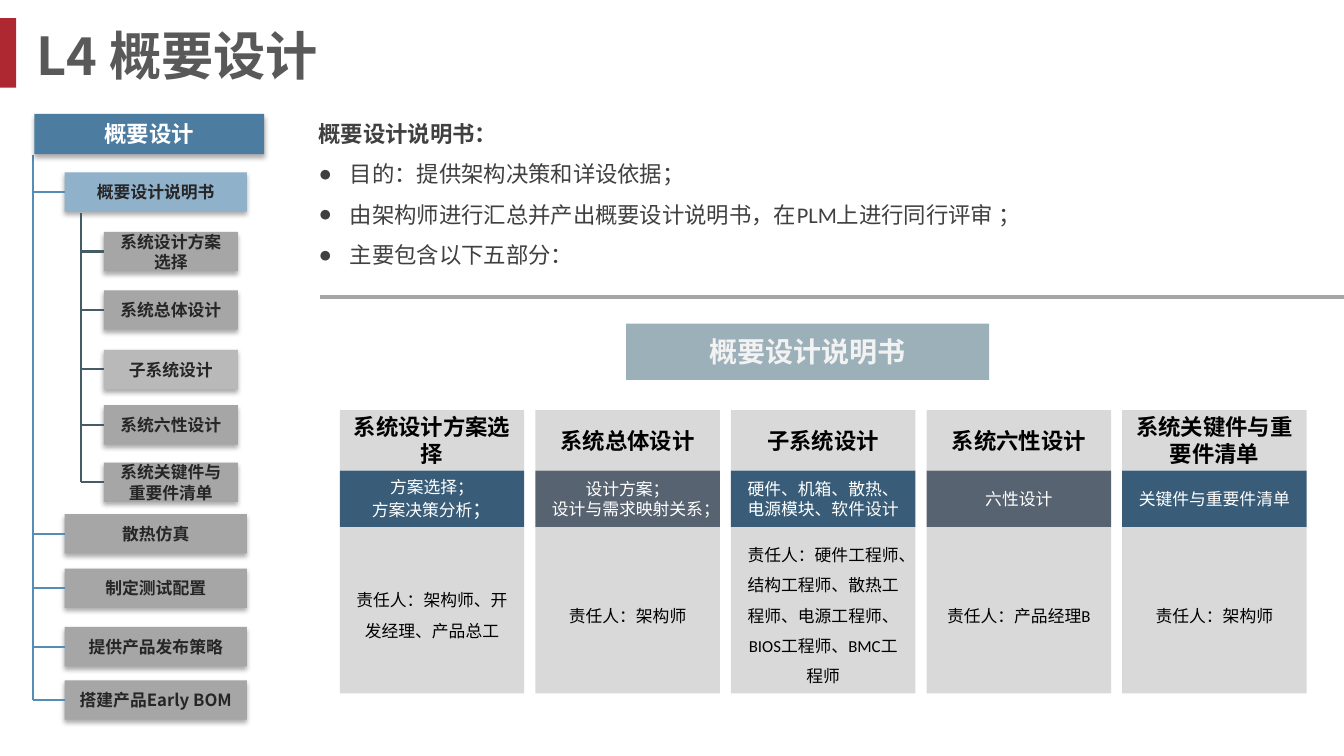
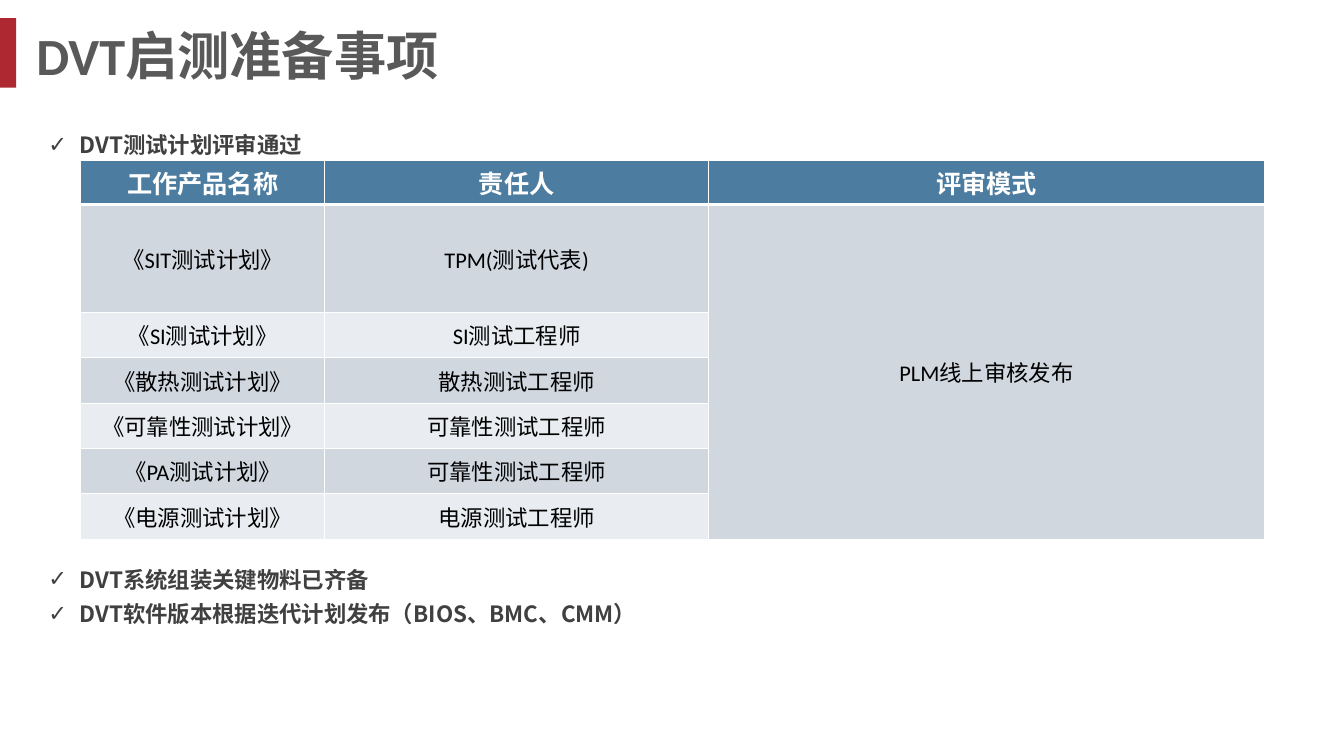
from dataclasses import dataclass

from lxml import etree
from pptx import Presentation
from pptx import util as u
from pptx.dml.color import RGBColor
from pptx.enum import shapes, text
from pptx.oxml import ns

# Shared look
EMU_PER_PX = 9144
LATIN, CJK = "Calibri", "Noto Sans CJK SC"
WHITE, BLACK, DARK, INK = "FFFFFF", "000000", "404040", "262626"
RED, TITLE_GREY, GREY, PALE = "AD2830", "595959", "A6A6A6", "D9D9D9"
BLUE, LIGHT_BLUE, NAVY, SLATE = "4C7CA0", "90B1CA", "395D78", "586371"
TRUNK_BLUE, TRUNK_SLATE = "548DB5", "465C65"
BAND_DARK, BAND_LIGHT = "D0D7DF", "E9ECF0"


@dataclass
class Box:
    left: int
    top: int
    width: int
    height: int


@dataclass
class Style:
    size: float
    color: str
    bold: bool = False
    font: str = LATIN
    spacing: float = 1.0
    align: text.PP_ALIGN = text.PP_ALIGN.CENTER


@dataclass
class Node:
    label: str
    top: int
    fill: str = GREY


@dataclass
class Module:
    heading: str
    content: str
    owners: str
    ending: str = ""  # larger closing mark


@dataclass
class Item:
    label: str
    bullet: str = ""
    bold: bool = True


TITLE = Style(37.3, TITLE_GREY, True, CJK, align=text.PP_ALIGN.LEFT)
NODE = Style(12, INK, True, CJK)
HEADING = Style(16, BLACK, True)

CHAPTERS = [
    Node("概要设计说明书", 171, LIGHT_BLUE),
    Node("散热仿真", 510),
    Node("制定测试配置", 564),
    Node("提供产品发布策略", 622),
    Node("搭建产品Early BOM", 675),
]
SECTIONS = [
    Node("系统设计方案选择", 230),
    Node("系统总体设计", 288),
    Node("子系统设计", 347, "B9B9B9"),
    Node("系统六性设计", 402),
    Node("系统关键件与重要件清单", 459),
]
MODULES = [
    Module("系统设计方案选择", "方案选择；\n方案决策分析", "责任人：架构师、开发经理、产品总工", "；"),
    Module("系统总体设计", "设计方案；\n设计与需求映射关系；", "责任人：架构师"),
    Module("子系统设计", "硬件、机箱、散热、电源模块、软件设计",
           "责任人：硬件工程师、结构工程师、散热工程师、电源工程师、BIOS工程师、BMC工程师"),
    Module("系统六性设计", "六性设计", "责任人：产品经理B"),
    Module("系统关键件与重要件清单", "关键件与重要件清单", "责任人：架构师"),
]
PLAN_ROWS = [
    ("工作产品名称", "责任人", "评审模式"),
    ("《SIT测试计划》", "TPM(测试代表)", "PLM线上审核发布"),
    ("《SI测试计划》", "SI测试工程师"),
    ("《散热测试计划》", "散热测试工程师"),
    ("《可靠性测试计划》", "可靠性测试工程师"),
    ("《PA测试计划》", "可靠性测试工程师"),
    ("《电源测试计划》", "电源测试工程师"),
]


# Helpers
def px(value: float) -> u.Emu:
    return u.Emu(round(value * EMU_PER_PX))


def rgb(value: str) -> RGBColor:
    return RGBColor.from_string(value)


def add_xml(parent, tag: str, **attributes):
    element = etree.SubElement(parent, ns.qn(tag))
    for name, value in attributes.items():
        element.set(name, str(value))
    return element


def format_paragraph(paragraph, style: Style) -> None:
    paragraph.alignment = style.align
    paragraph.line_spacing = style.spacing
    paragraph.space_before = u.Pt(0)
    font = paragraph.font
    font.size, font.bold, font.name = u.Pt(style.size), style.bold, style.font
    font.color.rgb = rgb(style.color)
    add_xml(paragraph._p.pPr.find(ns.qn("a:defRPr")), "a:ea", typeface=CJK)


def place(shape, box: Box) -> None:
    shape.left, shape.top = px(box.left), px(box.top)
    shape.width, shape.height = px(box.width), px(box.height)


def add_box(slide, box: Box, fill: str, label: str = "",
            style: Style = NODE, shadow: bool = False):
    shape = slide.shapes.add_shape(
        shapes.MSO_SHAPE.RECTANGLE,
        px(box.left), px(box.top), px(box.width), px(box.height))
    shape.fill.solid()
    shape.fill.fore_color.rgb = rgb(fill)
    shape.line.fill.background()
    shape.shadow.inherit = False
    if shadow:
        effects = shape._element.spPr.find(ns.qn("a:effectLst"))
        outer = add_xml(effects, "a:outerShdw", blurRad=u.Pt(3.5), dist=u.Pt(2.2),
                        dir=90 * 60000, algn="t", rotWithShape=0)
        add_xml(add_xml(outer, "a:srgbClr", val=BLACK), "a:alpha", val=32000)
    if label:
        frame = shape.text_frame
        frame.text, frame.word_wrap = label, True
        frame.vertical_anchor = text.MSO_ANCHOR.MIDDLE
        for paragraph in frame.paragraphs:
            format_paragraph(paragraph, style)
    return shape


def add_line(slide, start: tuple[int, float], end: tuple[int, float],
             color: str, width: float = 1.5):
    line = slide.shapes.add_connector(
        shapes.MSO_CONNECTOR.STRAIGHT, *map(px, start + end))
    line.line.color.rgb = rgb(color)
    line.line.width = u.Pt(width)
    add_xml(line._element.spPr, "a:effectLst")
    return line


def set_title(slide, label: str, font: str) -> None:
    title = slide.shapes.title
    place(title, Box(26, 18, 1081, 73))
    frame = title.text_frame
    frame.text, frame.auto_size = label, text.MSO_AUTO_SIZE.NONE
    frame.vertical_anchor = text.MSO_ANCHOR.MIDDLE
    format_paragraph(frame.paragraphs[0], TITLE)
    frame.paragraphs[0].font.name = font


def fill_list(body, box: Box, items: list[Item], font: str,
              spacing: float, gap: float = 0) -> None:
    place(body, box)
    frame = body.text_frame
    frame.text = "\n".join(item.label for item in items)
    frame.auto_size = text.MSO_AUTO_SIZE.NONE
    for index, (paragraph, item) in enumerate(zip(frame.paragraphs, items)):
        properties = paragraph._p.get_or_add_pPr()
        indent = px(31) if item.bullet else 0
        properties.set("marL", str(indent))
        properties.set("indent", str(-indent))
        if item.bullet:
            add_xml(properties, "a:buChar", char=item.bullet)
        else:
            add_xml(properties, "a:buNone")
        format_paragraph(paragraph, Style(16, DARK, item.bold, font, spacing,
                                          text.PP_ALIGN.LEFT))
        if index:
            paragraph.space_before = u.Pt(gap)


def add_branch(slide, nodes: list[Node], left: int, width: int,
               trunk_x: int, trunk_top: int, color: str) -> None:
    height = 39
    add_line(slide, (trunk_x, trunk_top),
             (trunk_x, nodes[-1].top + height / 2), color)
    for node in nodes:
        shape = add_box(slide, Box(left, node.top, width, height), node.fill,
                        node.label, NODE, shadow=True)
        middle = node.top + height / 2
        twig = add_line(slide, (left, middle), (trunk_x, middle), color)
        twig.begin_connect(shape, 1)


def add_module(slide, module: Module, left: int, band: str) -> None:
    add_box(slide, Box(left, 407, 183, 60), PALE, module.heading, HEADING)
    content = add_box(slide, Box(left, 467, 183, 56), band, module.content,
                      Style(12, WHITE))
    if module.ending:
        run = content.text_frame.paragraphs[-1].add_run()
        run.text, run.font.size = module.ending, u.Pt(14)
    add_box(slide, Box(left, 523, 183, 165), PALE, module.owners,
            Style(12, BLACK, spacing=1.5))


def format_cell(cell, fill: str, style: Style, top: float, bottom: float) -> None:
    cell.margin_left = cell.margin_right = cell.margin_top = cell.margin_bottom = 0
    cell.vertical_anchor = text.MSO_ANCHOR.MIDDLE
    properties = cell._tc.get_or_add_tcPr()
    for side, width in (("L", 1), ("R", 1), ("T", top), ("B", bottom)):
        border = add_xml(properties, f"a:ln{side}", w=u.Pt(width))
        add_xml(add_xml(border, "a:solidFill"), "a:srgbClr", val=WHITE)
    cell.fill.solid()
    cell.fill.fore_color.rgb = rgb(fill)
    format_paragraph(cell.text_frame.paragraphs[0], style)


def add_plan_table(slide) -> None:
    widths, heights = [242, 381, 551], [44, 107] + [45] * 5
    table = slide.shapes.add_table(
        len(heights), len(widths), px(80), px(159),
        px(sum(widths)), px(sum(heights))).table
    for column, width in zip(table.columns, widths):
        column.width = px(width)
    for row, height in zip(table.rows, heights):
        row.height = px(height)
    for row_index, labels in enumerate(PLAN_ROWS):
        header = row_index == 0
        fill = BLUE if header else (BAND_DARK if row_index % 2 else BAND_LIGHT)
        style = Style(18, WHITE, True) if header else Style(16, BLACK)
        for column_index in range(len(widths)):
            cell = table.cell(row_index, column_index)
            if column_index < len(labels):
                cell.text = labels[column_index]
            format_cell(cell, fill, style, 3 if row_index == 1 else 1,
                        3 if header else 1)
    table.cell(1, 2).merge(table.cell(len(heights) - 1, 2))


# Slides
def build_design_slide(presentation) -> None:
    slide = presentation.slides.add_slide(presentation.slide_layouts[1])
    # Red bar, kept on the master for every slide
    bar = add_box(slide, Box(0, 18, 16, 69), RED)
    presentation.slide_master.shapes._spTree.insert(2, bar._element)

    set_title(slide, "L4 概要设计", CJK)
    fill_list(slide.placeholders[1], Box(306, 101, 978, 167), [
        Item("概要设计说明书："),
        Item("目的：提供架构决策和详设依据；", "●", False),
        Item("由架构师进行汇总并产出概要设计说明书，在PLM上进行同行评审 ；", "●", False),
        Item("主要包含以下五部分：", "●", False),
    ], LATIN, 1.5)

    # Outline tree
    add_branch(slide, CHAPTERS, 64, 181, 33, 154, TRUNK_BLUE)
    add_branch(slide, SECTIONS, 103, 133, 80, 211, TRUNK_SLATE)
    add_box(slide, Box(34, 113, 228, 40), BLUE, "概要设计",
            Style(16, WHITE, True, CJK), shadow=True)

    # Five parts of the document
    add_line(slide, (317, 295), (1333, 295), GREY, 3)
    add_box(slide, Box(621, 321, 360, 56), "9CB0B9", "概要设计说明书",
            Style(20, "F2F2F2", True))
    for index, module in enumerate(MODULES):
        add_module(slide, module, 337 + 194 * index, SLATE if index % 2 else NAVY)


def build_test_slide(presentation) -> None:
    slide = presentation.slides.add_slide(presentation.slide_layouts[3])
    set_title(slide, "DVT启测准备事项", LATIN)
    fill_list(slide.placeholders[1], Box(38, 120, 387, 40),
              [Item("DVT测试计划评审通过", "✓")], CJK, 1.2)
    fill_list(slide.placeholders[2], Box(38, 551, 680, 80), [
        Item("DVT系统组装关键物料已齐备", "✓"),
        Item("DVT软件版本根据迭代计划发布（BIOS、BMC、CMM）", "✓"),
    ], CJK, 1.2, gap=1.5)
    add_plan_table(slide)


def main() -> None:
    presentation = Presentation()
    presentation.slide_width, presentation.slide_height = px(1333), px(750)
    build_design_slide(presentation)
    build_test_slide(presentation)
    presentation.save("out.pptx")


if __name__ == "__main__":
    main()
